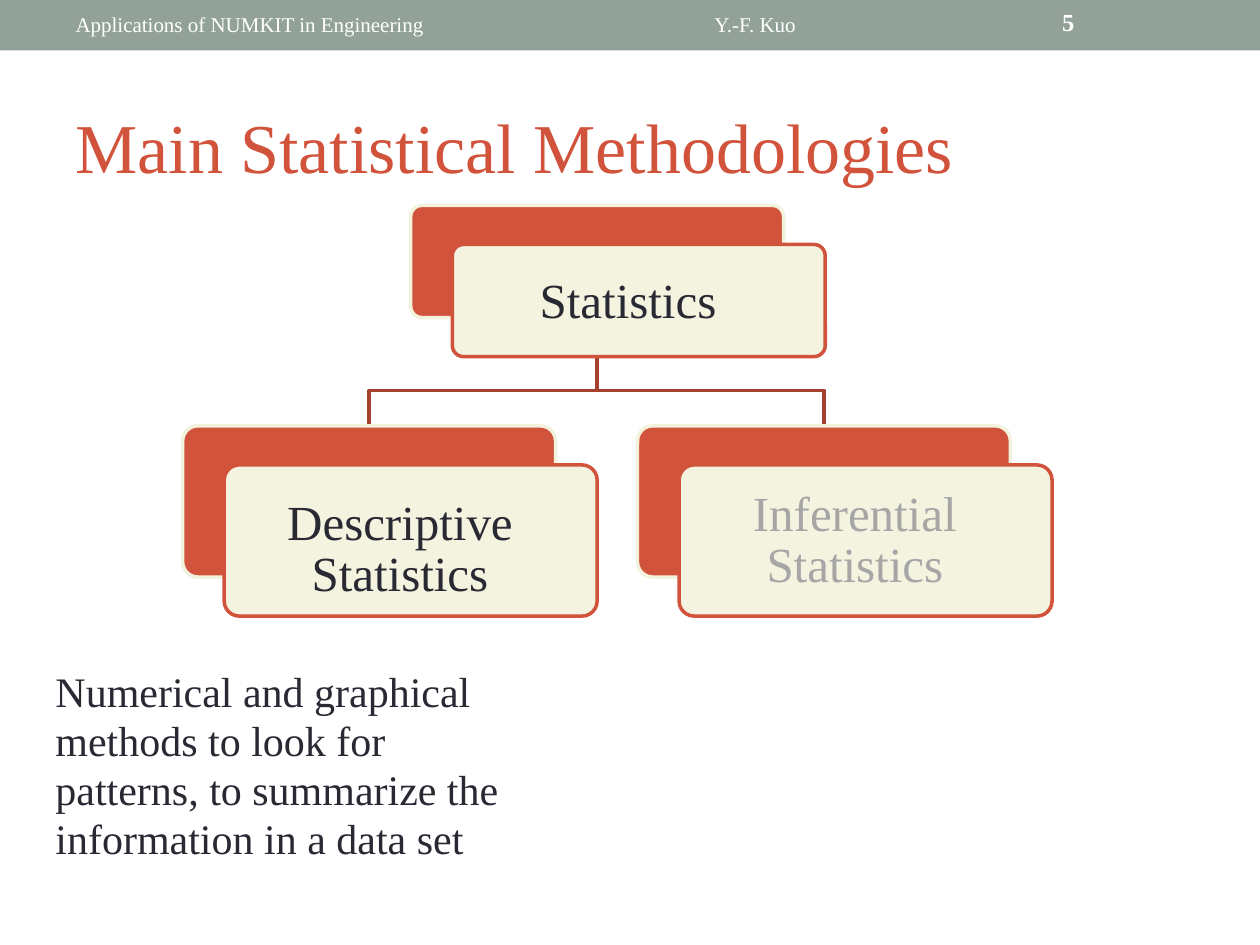
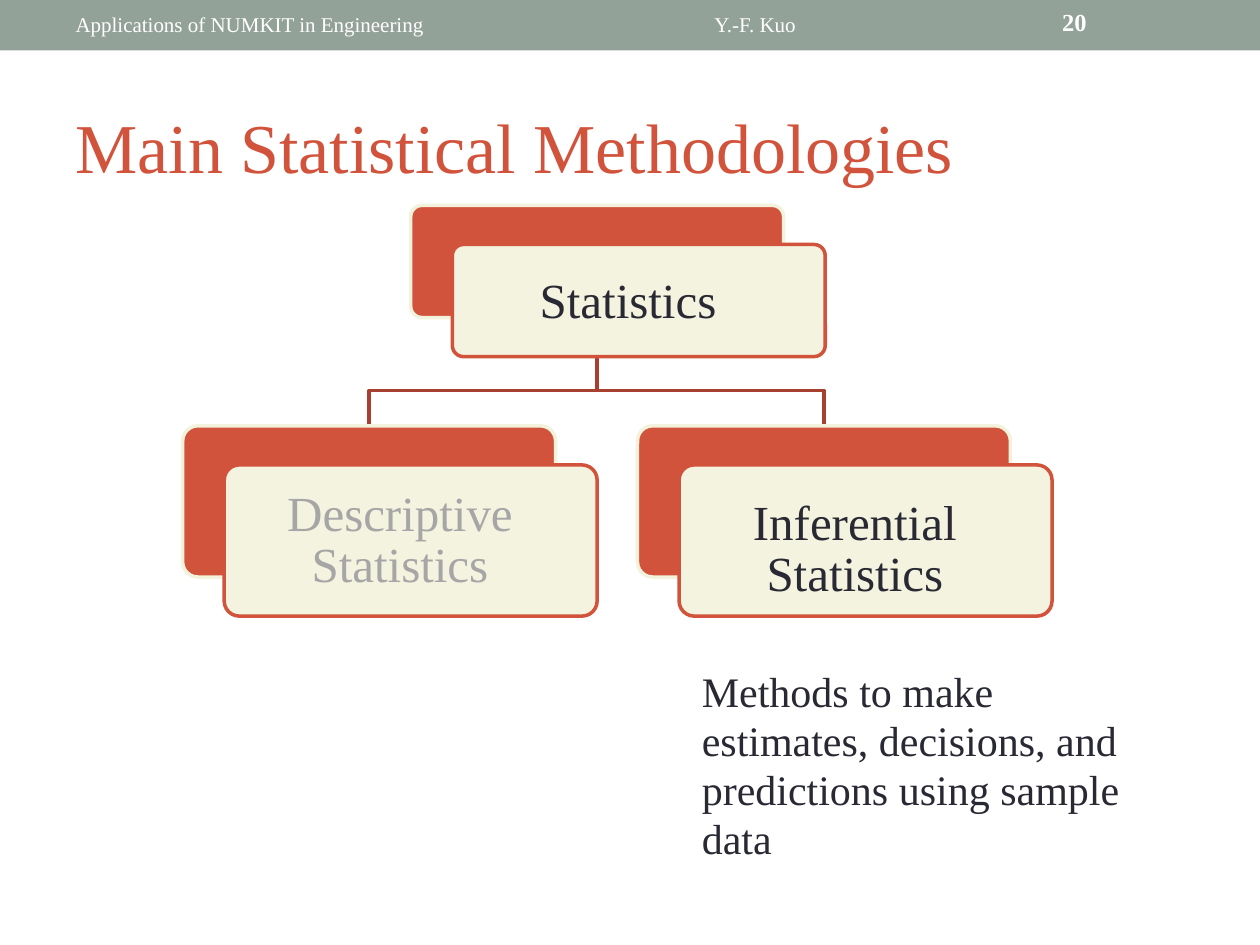
import pptx
import pptx.util
import pptx.oxml
import pptx.dml.color
import pptx.enum.shapes
import pptx.enum.text

Inches, Pt = pptx.util.Inches, pptx.util.Pt
KIND = pptx.enum.shapes.MSO_SHAPE
ALIGN = pptx.enum.text.PP_ALIGN
ANCHOR = pptx.enum.text.MSO_ANCHOR
FIT = pptx.enum.text.MSO_AUTO_SIZE

# Content
COURSE = "Applications of NUMKIT in Engineering"
AUTHOR = "Y.-F. Kuo"
TITLE = "Main Statistical Methodologies"
ROOT = "Statistics"
LEAVES = ["Descriptive Statistics", "Inferential Statistics"]
PAGES = [
    {"page": "5", "focus": 0, "left": 0.44,
     "note": "Numerical and graphical methods to look for patterns, "
             "to summarize the information in a data set"},
    {"page": "20", "focus": 1, "left": 5.57,
     "note": "Methods to make estimates, decisions, and predictions "
             "using sample data"},
]

# Theme: colours, and type as size, line pitch, colour, bold
THEME = {
    "font": "Times New Roman",
    "band": "93A299", "card": "D2533C", "face": "F4F3DF",
    "rim": "F3F2DC", "link": "A7402E",
    "head": (12, 11, "FFFFFF", False),
    "page": (14, 12, "FFFFFF", True),
    "title": (40, 36, "D2533C", False),
    "label": (28, 29, "292934", False),
    "dim": (28, 29, "A6A6A6", False),
    "note": (24, 28, "292934", False),
}

# Tree measures
WIDE, SHIFT_X, SHIFT_Y = 2.96, 0.33, 0.31
ROOT_AT, ROOT_TALL = (3.26, 1.63), 0.89
LEAF_X, LEAF_Y, STEP, LEAF_TALL = 1.45, 3.38, 3.61, 1.2
BAR_Y = 3.1


def rgb(name):
    return pptx.dml.color.RGBColor.from_string(THEME[name])


def setup(obj, vals):
    for key, val in vals.items():
        setattr(obj, key, val)


def write(shape, text, style, align=ALIGN.LEFT, pad=(0, 0, 0, 0), wrap=True):
    size, pitch, color, bold = THEME[style]
    frame = shape.text_frame
    frame.text = text
    left, top, right, base = map(Inches, pad)
    setup(frame, {"margin_left": left, "margin_top": top,
                  "margin_right": right, "margin_bottom": base,
                  "word_wrap": wrap, "auto_size": FIT.NONE,
                  "vertical_anchor": ANCHOR.TOP})
    para = frame.paragraphs[0]
    setup(para, {"alignment": align, "line_spacing": Pt(pitch),
                 "space_before": Pt(0), "space_after": Pt(0)})
    font = para.runs[0].font
    setup(font, {"name": THEME["font"], "size": Pt(size), "bold": bold})
    font.color.rgb = pptx.dml.color.RGBColor.from_string(color)


def place(shape, x, y, w, h):
    setup(shape, {"left": Inches(x), "top": Inches(y),
                  "width": Inches(w), "height": Inches(h)})


def paint(shape, fill=None, line=None):
    shape.shadow.inherit = False
    for part, name in ((shape.fill, fill), (shape.line.fill, line)):
        if name:
            part.solid()
            part.fore_color.rgb = rgb(name)
        else:
            part.background()
    if line:
        shape.line.width = Pt(2)


def block(slide, kind, x, y, w, h, fill, line=None):
    shape = slide.shapes.add_shape(kind, *map(Inches, (x, y, w, h)))
    paint(shape, fill, line)
    return shape


def header(slide, page):
    block(slide, KIND.RECTANGLE, 0, 0, 10, 0.4, "band")
    for text, x, y, w, style in ((COURSE, 0.6, 0.14, 2.89, "head"),
                                 (AUTHOR, 5.67, 0.14, 0.67, "head"),
                                 (page, 8.43, 0.12, 0.21, "page")):
        box = slide.shapes.add_textbox(*map(Inches, (x, y, w, 0.2)))
        write(box, text, style, wrap=False)


def card(slide, text, x, y, tall, style):
    for dx, dy, fill, line in ((0, 0, "card", "rim"),
                               (SHIFT_X, SHIFT_Y, "face", "card")):
        shape = block(slide, KIND.ROUNDED_RECTANGLE, x + dx, y + dy,
                      WIDE, tall, fill, line)
        shape.adjustments[0] = 0.1
    top = 0.17 if style == "dim" else 0.24
    write(shape, text, style, ALIGN.CENTER, (0, top, 0.17, 0))


def link(slide, start, end):
    (x, y), (to_x, to_y) = start, end
    pen = slide.shapes.build_freeform(Inches(x), Inches(y))
    turns = [(x, BAR_Y), (to_x, BAR_Y), (to_x, to_y)]
    pen.add_line_segments([(Inches(a), Inches(b)) for a, b in turns],
                          close=False)
    paint(pen.convert_to_shape(), line="link")


def tree(slide, focus):
    x, y = ROOT_AT
    spots = [LEAF_X + i * STEP for i in range(len(LEAVES))]
    for spot in spots:
        link(slide, (x + WIDE / 2, y + ROOT_TALL), (spot + WIDE / 2, LEAF_Y))
    card(slide, ROOT, x, y, ROOT_TALL, "label")
    for i, (text, spot) in enumerate(zip(LEAVES, spots)):
        card(slide, text, spot, LEAF_Y, LEAF_TALL,
             "label" if i == focus else "dim")


def note(slide, text, x):
    body = slide.placeholders[1]
    place(body, x, 5.29, 3.65, 1.6)
    write(body, text, "note")
    # No bullet and no hanging indent
    props = body.text_frame.paragraphs[0]._p.get_or_add_pPr()
    for key in ("marL", "indent"):
        props.set(key, "0")
    props.append(pptx.oxml.parse_xml(
        '<a:buNone xmlns:a="http://schemas.openxmlformats.org/'
        'drawingml/2006/main"/>'))


# Build the slides
deck = pptx.Presentation()
setup(deck, {"slide_width": Inches(10), "slide_height": Inches(7.5)})
for item in PAGES:
    slide = deck.slides.add_slide(deck.slide_layouts[1])
    header(slide, item["page"])
    place(slide.shapes.title, 0.6, 0.99, 8, 0.6)
    write(slide.shapes.title, TITLE, "title")
    tree(slide, item["focus"])
    note(slide, item["note"], item["left"])
deck.save("out.pptx")
